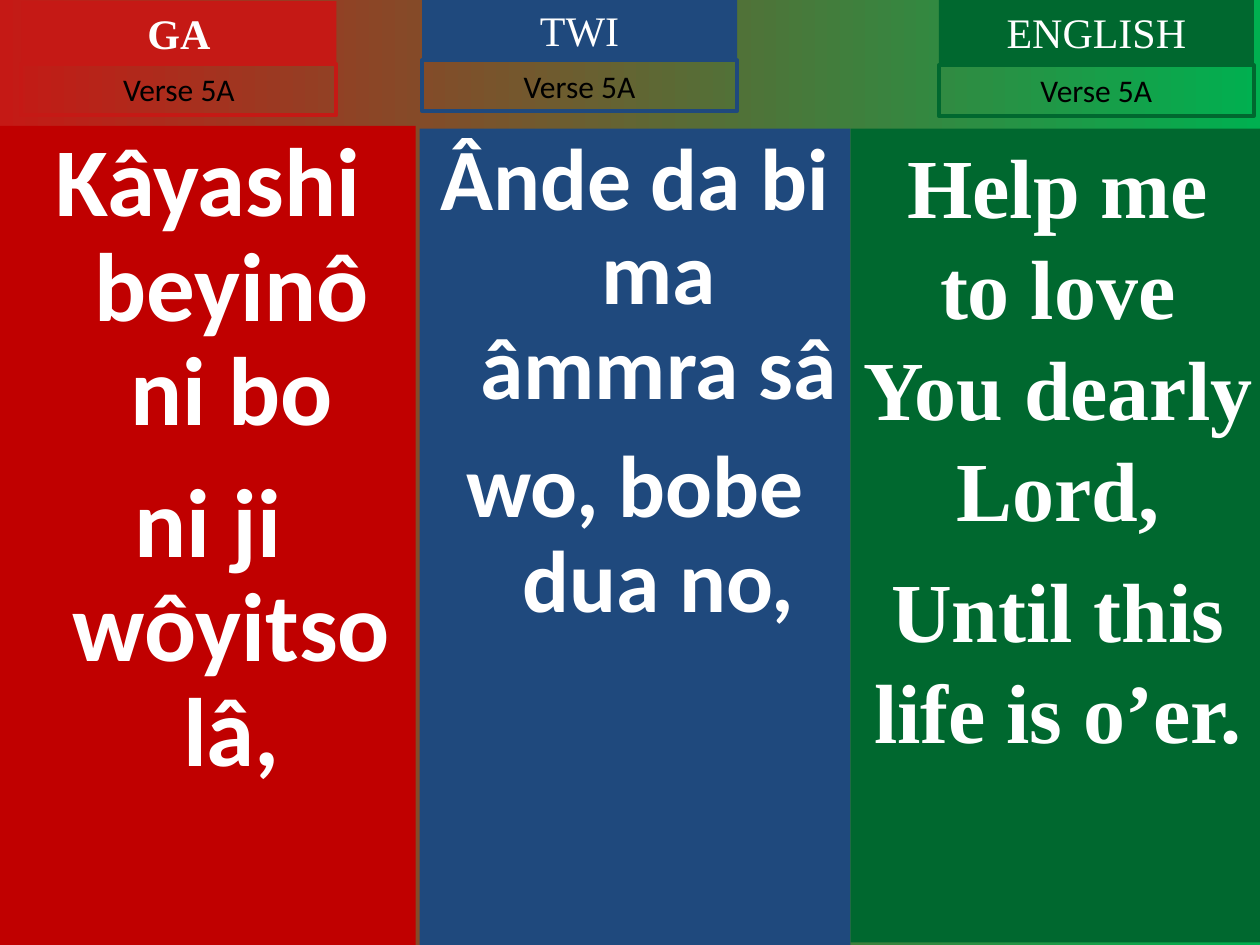
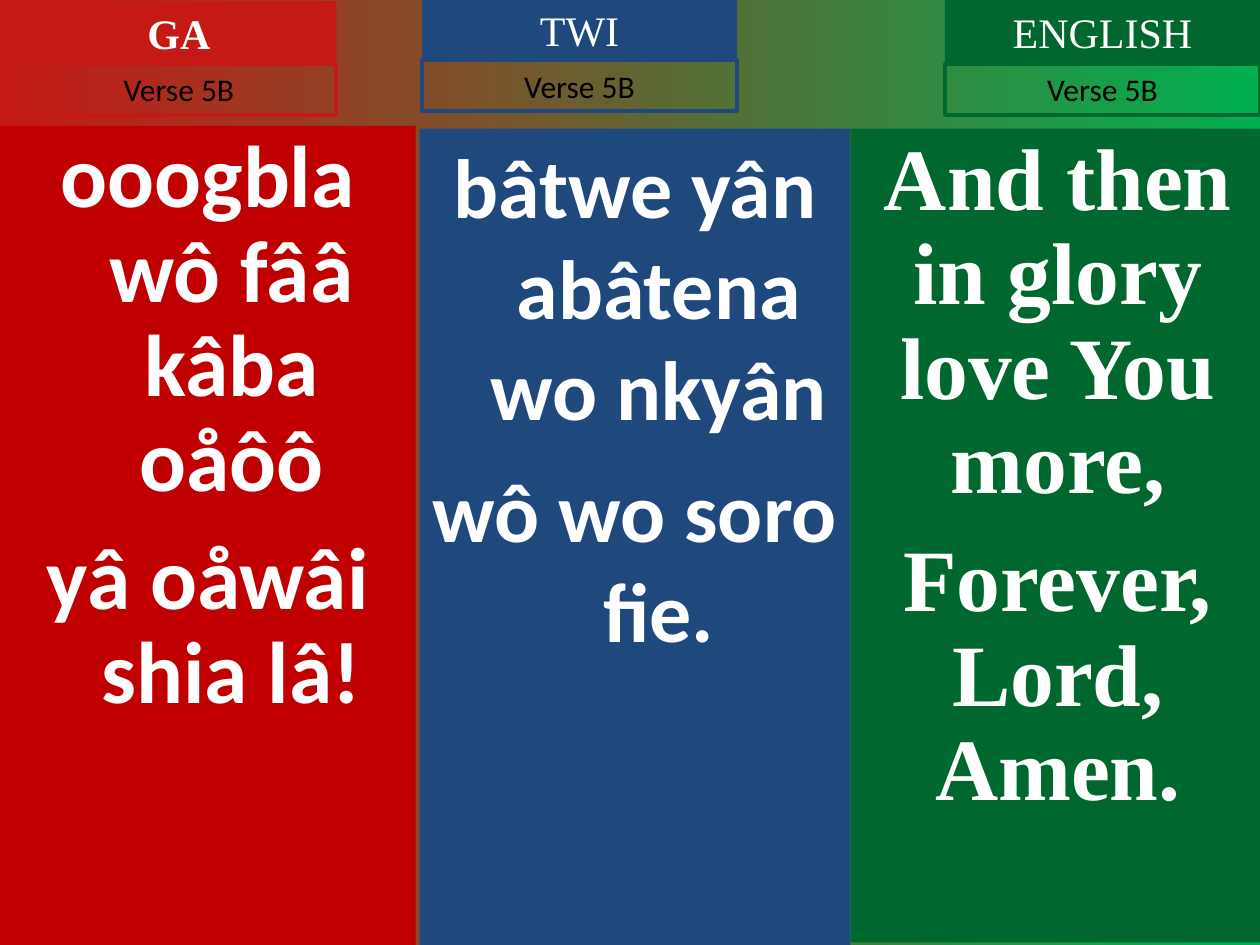
from dataclasses import dataclass

from pptx import Presentation
from pptx.dml.color import RGBColor
from pptx.enum import shapes, text
from pptx.util import Pt

RED = RGBColor(0xC5, 0x19, 0x15)
DEEP_RED = RGBColor(0xC0, 0x00, 0x00)
BLUE = RGBColor(0x1F, 0x49, 0x7D)
GREEN = RGBColor(0x00, 0x68, 0x2F)
BRIGHT_GREEN = RGBColor(0x00, 0xB0, 0x50)
WHITE = RGBColor(0xFF, 0xFF, 0xFF)
BLACK = RGBColor(0x00, 0x00, 0x00)
SANS = "Calibri"
SERIF = "Times New Roman"
HANGING = 27


@dataclass
class Language:
    name: str
    accent: RGBColor
    panel_color: RGBColor
    panel: tuple
    heading_at: tuple
    verse_top: float
    font: str = SANS
    hanging: bool = True
    bold_heading: bool = False


@dataclass
class Lyrics:
    lines: tuple
    size: float
    gap: float
    spacing: float = None


GA = Language("GA", RED, DEEP_RED, (0, 72, 237.6, 468), (12.25, 0.75), 36.75,
              bold_heading=True)
TWI = Language("TWI", BLUE, BLUE, (239.75, 73.5, 246.25, 466.5), (241.2, -0.75), 34.5)
ENGLISH = Language("ENGLISH", GREEN, GREEN, (486, 73.5, 237, 465), (536.5, 0), 37.25,
                   font=SERIF, hanging=False)
LANGUAGES = (GA, TWI, ENGLISH)


class HymnDeck:
    def __init__(self):
        self.deck = Presentation()
        self.deck.slide_width, self.deck.slide_height = Pt(720), Pt(540)
        self.slide = None

    def new_slide(self):
        self.slide = self.deck.slides.add_slide(self.deck.slide_layouts[6])
        backdrop = self.slide.background.fill
        backdrop.gradient()
        backdrop.gradient_angle = 0
        for stop, color, position in zip(backdrop.gradient_stops, (RED, BRIGHT_GREEN), (0, 1)):
            stop.color.rgb = color
            stop.position = position

    def box(self, place, fill=None, line=None, grow=False):
        shape = self.slide.shapes.add_shape(
            shapes.MSO_SHAPE.RECTANGLE, *(Pt(length) for length in place))
        shape.shadow.inherit = False
        if fill is None:
            shape.fill.background()
        else:
            shape.fill.solid()
            shape.fill.fore_color.rgb = fill
        if line is None:
            shape.line.fill.background()
        else:
            shape.line.color.rgb = line
            shape.line.width = Pt(2.25)
        frame = shape.text_frame
        frame.word_wrap = True
        frame.vertical_anchor = text.MSO_ANCHOR.TOP
        if grow:
            frame.auto_size = text.MSO_AUTO_SIZE.SHAPE_TO_FIT_TEXT
        return frame

    def add_words(self, paragraph, words, font, size, color, bold=False):
        paragraph.alignment = text.PP_ALIGN.CENTER
        run = paragraph.add_run()
        run.text = words
        run.font.name = font
        run.font.size = Pt(size)
        run.font.bold = bold
        run.font.color.rgb = color

    def heading(self, language, left):
        frame = self.box((left, language.heading_at[1], 180, 36), fill=language.accent, grow=True)
        self.add_words(frame.paragraphs[0], language.name, SERIF, 24, WHITE,
                       language.bold_heading)

    def verse_label(self, language, left, top, verse):
        frame = self.box((left, top, 180, 29), line=language.accent, grow=True)
        self.add_words(frame.paragraphs[0], verse, SANS, 18, BLACK)

    def lyrics_panel(self, language, lyrics):
        frame = self.box(language.panel, fill=language.panel_color)
        for index, line in enumerate(lyrics.lines):
            paragraph = frame.add_paragraph() if index else frame.paragraphs[0]
            if index:
                paragraph.space_before = Pt(lyrics.gap)
            if lyrics.spacing:
                paragraph.line_spacing = lyrics.spacing
            if language.hanging:
                properties = paragraph._p.get_or_add_pPr()
                properties.set("marL", str(Pt(HANGING)))
                properties.set("indent", str(Pt(-HANGING)))
            self.add_words(paragraph, line, language.font, lyrics.size, WHITE, bold=True)

    def verse_slide(self, verse, columns, english_left, english_verse_top):
        self.new_slide()
        for language, lyrics in zip(LANGUAGES, columns):
            left, verse_top = language.heading_at[0], language.verse_top
            if language is ENGLISH:
                left, verse_top = english_left, english_verse_top
            self.lyrics_panel(language, lyrics)
            self.heading(language, left)
            self.verse_label(language, left, verse_top, verse)


def main():
    hymn = HymnDeck()
    hymn.verse_slide("Verse 5A", (
        Lyrics(("Kâyashi beyinô ni bo", "ni ji wôyitso lâ,"), 55.5, 15, 0.9),
        Lyrics(("Ânde da bi ma âmmra sâ", "wo, bobe dua no,"), 50, 13.5, 0.9),
        Lyrics(("Help me to love You dearly Lord,", "Until this life is o’er."), 48, 12),
    ), ENGLISH.heading_at[0], ENGLISH.verse_top)
    hymn.verse_slide("Verse 5B", (
        Lyrics(("ooogbla wô fââ kâba oåôô", "yâ oåwâi shia lâ!"), 50, 13.5, 0.9),
        Lyrics(("bâtwe yân abâtena wo nkyân", "wô wo soro fie."), 48, 12),
        Lyrics(("And then in glory love You more,", "Forever, Lord, Amen."), 50, 13.5, 0.9),
    ), 540, 36.5)
    hymn.deck.save("out.pptx")


if __name__ == "__main__":
    main()
